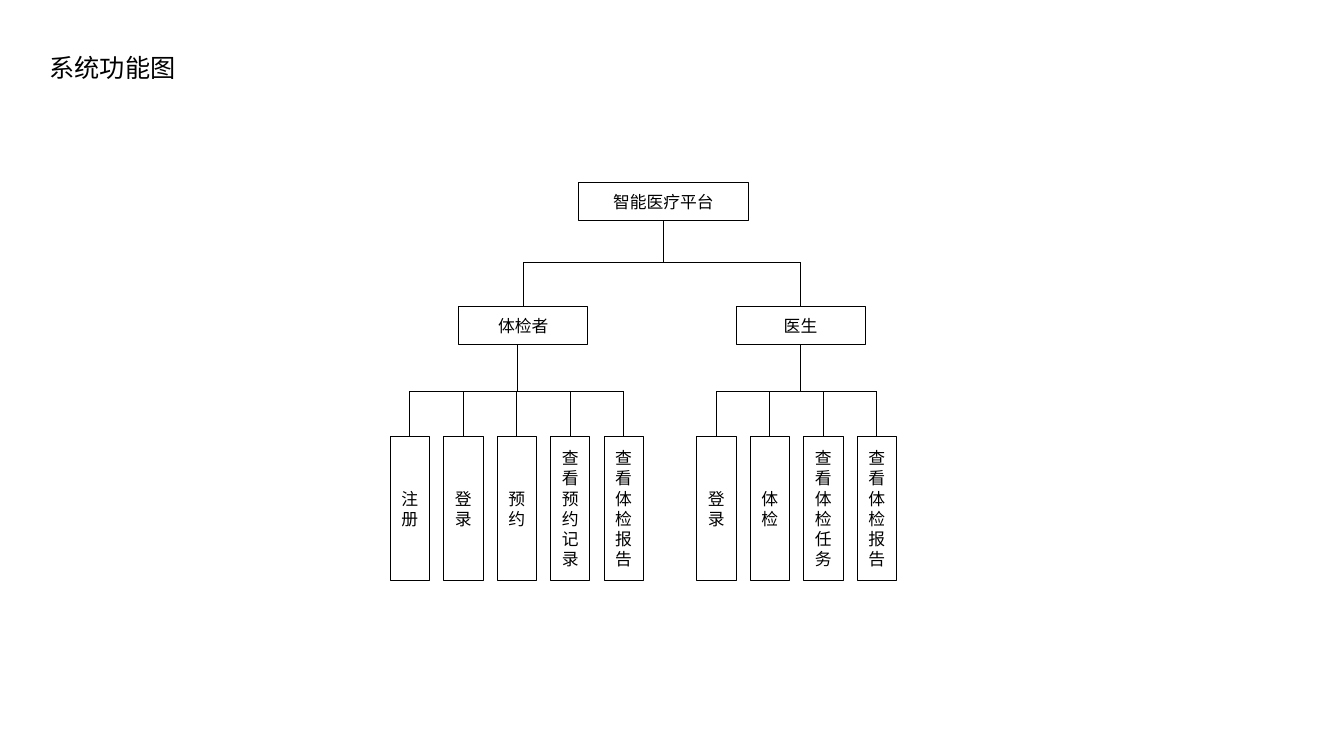
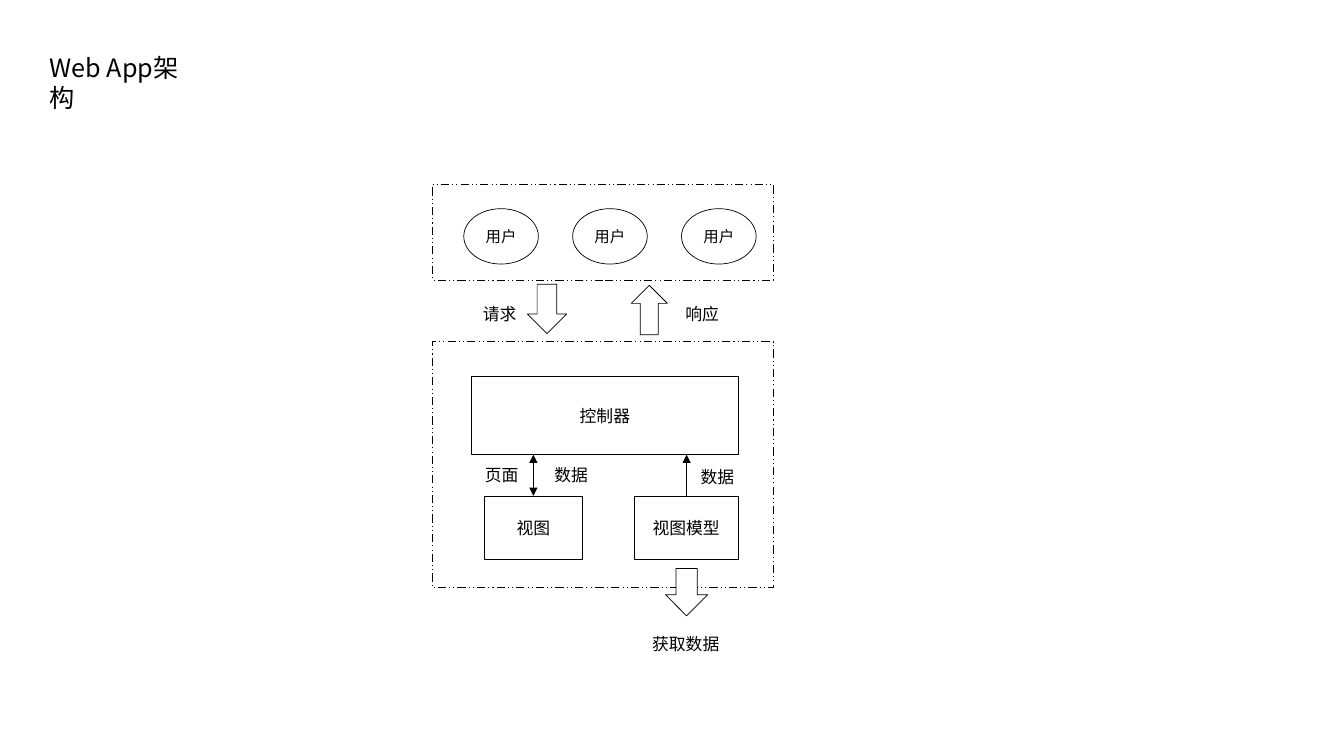
from lxml.etree import SubElement
from pptx import Presentation
from pptx.dml.color import RGBColor
from pptx.enum.dml import MSO_LINE
from pptx.enum.shapes import MSO_CONNECTOR, MSO_SHAPE
from pptx.enum.text import MSO_ANCHOR, MSO_AUTO_SIZE, PP_ALIGN
from pptx.oxml.ns import qn
from pptx.util import Inches, Pt

# Shared style
FONT, INK, PAPER = "Noto Sans CJK SC", "000000", "FFFFFF"
TITLE_SIZE, BODY_SIZE, USER_SIZE = 18, 12, 11
LINE_RATIO = 1.2
THIN, FRAME = 0.5, 0.75
CENTERED = {"vertical_anchor": MSO_ANCHOR.MIDDLE, "word_wrap": True}
TITLE_FRAME = {"vertical_anchor": MSO_ANCHOR.TOP, "word_wrap": True,
               "auto_size": MSO_AUTO_SIZE.NONE}
LABEL_FRAME = {"vertical_anchor": MSO_ANCHOR.TOP, "word_wrap": False}

# Function tree: role, box left, stem x, first leaf left, leaves
TREE_TITLE, TREE_TITLE_W = "系统功能图", 1.46
ROOT = ("智能医疗平台", 5.74, 1.81, 1.68, 0.38)
ROLES = [
    ("体检者", 4.55, 5.13, 3.87,
     ["注册", "登录", "预约", "查看预约记录", "查看体检报告"]),
    ("医生", 7.3, 7.94, 6.91,
     ["登录", "体检", "查看体检任务", "查看体检报告"]),
]
ROLE_TOP, ROLE_W, ROLE_H = 3.04, 1.28, 0.38
LEAF_TOP, LEAF_W, LEAF_H, LEAF_PITCH = 4.33, 0.39, 1.43, 0.53
ROLE_BUS, LEAF_BUS = 2.6, 3.88

# Architecture: lengths are left, top, width, height
ARCH_TITLE, ARCH_TITLE_W = "Web App架构", 1.73
FRAME_LEFT, FRAME_W = 4.29, 3.38
FRAME_ROWS = [(1.83, 0.95), (3.39, 2.44)]
USER, USER_COUNT = "用户", 3
USER_LEFT, USER_PITCH, USER_TOP, USER_W, USER_H = 4.6, 1.08, 2.07, 0.74, 0.55
CONTROLLER_BASE, VIEW_TOP = 4.51, 4.92
PARTS = [
    ("控制器", 4.68, 3.73, 2.64, 0.78),
    ("视图模型", 6.29, VIEW_TOP, 1.03, 0.63),
    ("视图", 4.8, VIEW_TOP, 0.98, 0.63),
]
BLOCK_ARROWS = [
    (MSO_SHAPE.DOWN_ARROW, 5.23, 2.82, 0.39, 0.49),
    (MSO_SHAPE.UP_ARROW, 6.26, 2.83, 0.36, 0.49),
    (MSO_SHAPE.DOWN_ARROW, 6.6, 5.64, 0.42, 0.47),
]
DATA_ARROWS = [(5.29, ("headEnd", "tailEnd")), (6.81, ("tailEnd",))]
LABEL_W, LABEL_H = 0.54, 0.3
LABELS = [
    ("请求", 4.69, 2.96, LABEL_W), ("响应", 6.7, 2.96, LABEL_W),
    ("页面", 4.71, 4.56, LABEL_W), ("数据", 5.4, 4.56, LABEL_W),
    ("数据", 6.85, 4.58, LABEL_W), ("获取数据", 6.37, 6.24, 0.88),
]


def color(value):
    """Turn a hex string into a colour."""
    return RGBColor.from_string(value)


def apply(target, values):
    """Set each attribute named in values."""
    for name, value in values.items():
        setattr(target, name, value)


def write(sp, text, size, frame, align):
    """Put one formatted paragraph into a shape."""
    tf = sp.text_frame
    apply(tf, frame)
    p = tf.paragraphs[0]
    apply(p, {"alignment": align, "line_spacing": Pt(size * LINE_RATIO)})
    r = p.add_run()
    r.text = text
    apply(r.font, {"name": FONT, "size": Pt(size), "bold": False})
    r.font.color.rgb = color(INK)
    SubElement(r.font._element, qn("a:ea"), typeface=FONT)


def add_titled_slide(prs, text, width):
    """Add a title-only slide with its title at the top left."""
    s = prs.slides.add_slide(prs.slide_layouts[5])
    apply(s.shapes.title, {"left": Inches(0.39), "top": Inches(0.47),
                           "width": Inches(width), "height": Inches(0.4)})
    write(s.shapes.title, text, TITLE_SIZE, TITLE_FRAME, PP_ALIGN.LEFT)
    return s


def add_block(s, kind, box, text="", size=BODY_SIZE, fill=PAPER, weight=THIN):
    """Add an outlined preset shape, with centred text if any."""
    sp = s.shapes.add_shape(kind, *map(Inches, box))
    sp.shadow.inherit = False
    if fill:
        sp.fill.solid()
        sp.fill.fore_color.rgb = color(fill)
    else:
        sp.fill.background()
    sp.line.color.rgb = color(INK)
    sp.line.width = Pt(weight)
    if text:
        write(sp, text, size, CENTERED, PP_ALIGN.CENTER)
    return sp


def add_line(s, x1, y1, x2, y2, ends=()):
    """Add a thin straight line with triangles at the named ends."""
    c = s.shapes.add_connector(MSO_CONNECTOR.STRAIGHT,
                               *map(Inches, (x1, y1, x2, y2)))
    c.line.color.rgb = color(INK)
    c.line.width = Pt(THIN)
    ln = c._element.spPr.find(qn("a:ln"))
    for end in ends:
        SubElement(ln, qn(f"a:{end}"), type="triangle")
    SubElement(c._element.spPr, qn("a:effectLst"))


def add_bus(s, y, stem_x, stem_top, drops, bottom):
    """Join one stem to several drops through a horizontal line."""
    add_line(s, drops[0], y, drops[-1], y)
    add_line(s, stem_x, stem_top, stem_x, y)
    for x in drops:
        add_line(s, x, y, x, bottom)


def build_tree(prs):
    """Draw the system function tree."""
    s = add_titled_slide(prs, TREE_TITLE, TREE_TITLE_W)
    name, left, top, width, height = ROOT
    add_block(s, MSO_SHAPE.RECTANGLE, ROOT[1:], name)
    centers = [role[1] + ROLE_W / 2 for role in ROLES]
    add_bus(s, ROLE_BUS, left + width / 2, top + height, centers, ROLE_TOP)
    for role, role_left, stem_x, first, leaves in ROLES:
        add_block(s, MSO_SHAPE.RECTANGLE,
                  (role_left, ROLE_TOP, ROLE_W, ROLE_H), role)
        lefts = [first + i * LEAF_PITCH for i in range(len(leaves))]
        for leaf, x in zip(leaves, lefts):
            add_block(s, MSO_SHAPE.RECTANGLE,
                      (x, LEAF_TOP, LEAF_W, LEAF_H), leaf)
        add_bus(s, LEAF_BUS, stem_x, ROLE_TOP + ROLE_H,
                [x + LEAF_W / 2 for x in lefts], LEAF_TOP)


def build_architecture(prs):
    """Draw the web app architecture."""
    s = add_titled_slide(prs, ARCH_TITLE, ARCH_TITLE_W)
    for top, height in FRAME_ROWS:
        sp = add_block(s, MSO_SHAPE.RECTANGLE,
                       (FRAME_LEFT, top, FRAME_W, height),
                       fill=None, weight=FRAME)
        sp.line.dash_style = MSO_LINE.DASH_DOT_DOT
    for i in range(USER_COUNT):
        add_block(s, MSO_SHAPE.OVAL,
                  (USER_LEFT + i * USER_PITCH, USER_TOP, USER_W, USER_H),
                  USER, USER_SIZE)
    for text, *box in PARTS:
        add_block(s, MSO_SHAPE.RECTANGLE, box, text)
    for kind, *box in BLOCK_ARROWS:
        add_block(s, kind, box)
    for x, ends in DATA_ARROWS:
        add_line(s, x, VIEW_TOP, x, CONTROLLER_BASE, ends)
    for text, left, top, width in LABELS:
        sp = s.shapes.add_textbox(*map(Inches, (left, top, width, LABEL_H)))
        write(sp, text, BODY_SIZE, LABEL_FRAME, PP_ALIGN.LEFT)


prs = Presentation()
apply(prs, {"slide_width": Inches(13.33), "slide_height": Inches(7.5)})
build_tree(prs)
build_architecture(prs)
prs.save("out.pptx")
